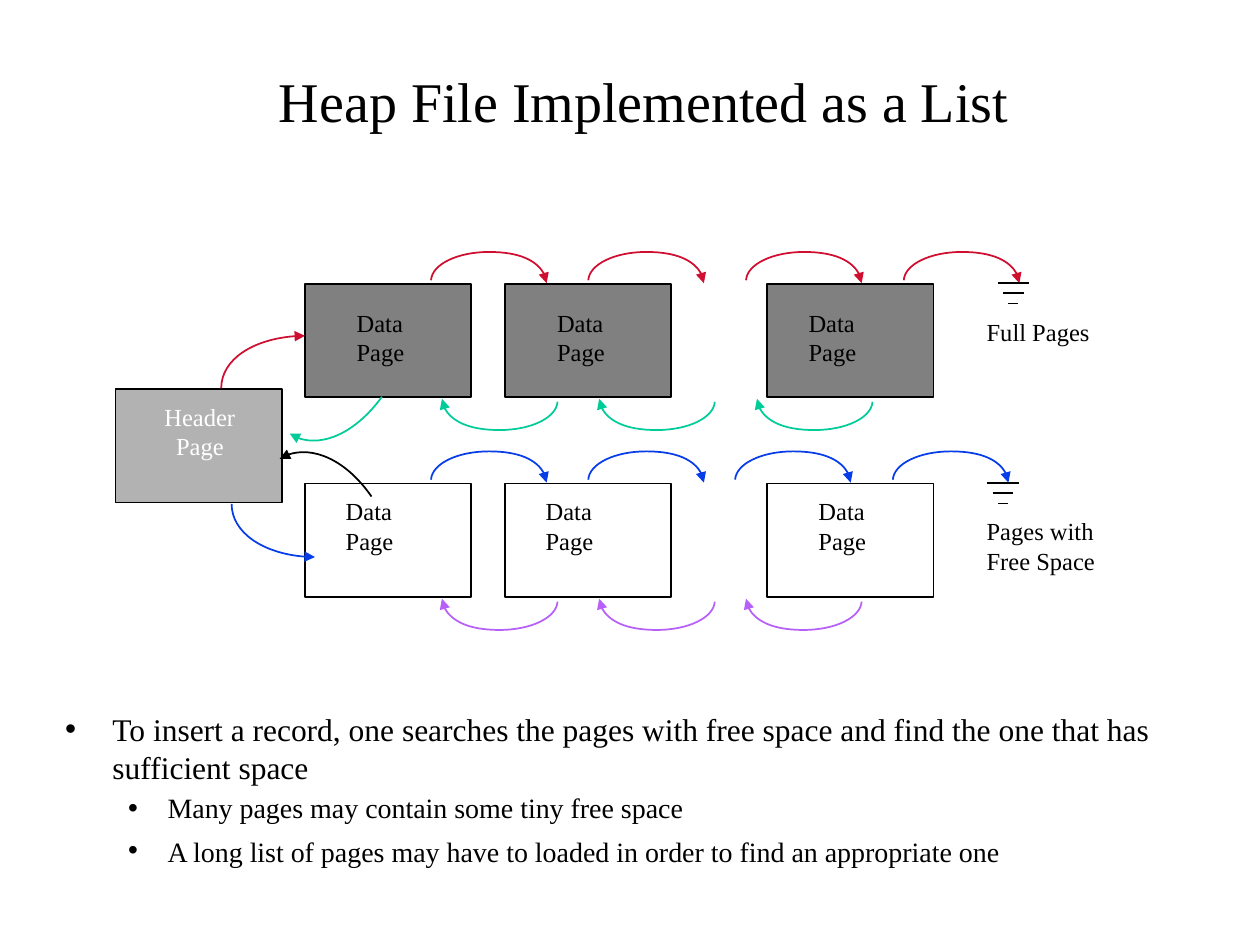
from lxml.etree import SubElement
from pptx import Presentation
from pptx.dml.color import RGBColor
from pptx.enum.shapes import MSO_CONNECTOR, MSO_SHAPE
from pptx.enum.text import MSO_ANCHOR, MSO_AUTO_SIZE, PP_ALIGN
from pptx.oxml.ns import qn
from pptx.util import Cm, Pt

FONT = "Times New Roman"
BLACK, WHITE = "000000", "FFFFFF"
RED, GREEN, BLUE, PURPLE = "CF0E30", "00CC99", "063DE8", "B760F9"
WIDE, HIGH = 2.33, 0.63
HUMP = [(0, 0.57), (0.02, 0.25), (0.53, 0), (1.17, 0),
        (1.8, 0), (2.33, 0.27), (2.33, 0.63)]


def tint(code):
    """Turn a hex string into a colour."""
    return RGBColor.from_string(code)


def place(shape, left, top, width, height):
    """Move and size a shape in centimetres."""
    shape.left, shape.top = Cm(left), Cm(top)
    shape.width, shape.height = Cm(width), Cm(height)


def write(para, text, size, color=BLACK):
    """Add one formatted run to a paragraph."""
    run = para.add_run()
    run.text = text
    run.font.name = FONT
    run.font.size = Pt(size)
    run.font.color.rgb = tint(color)


def stroke(shape, color):
    """Give a shape or connector a plain thin line."""
    shape.line.color.rgb = tint(color)
    shape.line.width = Pt(1)


def add_title(slide, text):
    """Fill the title placeholder."""
    title = slide.shapes.title
    place(title, 2.33, 1.27, 21.59, 1.48)
    frame = title.text_frame
    frame.auto_size = MSO_AUTO_SIZE.NONE
    frame.vertical_anchor = MSO_ANCHOR.MIDDLE
    para = frame.paragraphs[0]
    para.alignment = PP_ALIGN.CENTER
    write(para, text, 32)


def add_list(slide, items):
    """Fill the body placeholder with levelled bullets."""
    body = slide.placeholders[1]
    place(body, 1.06, 14.18, 23.6, 3.6)
    frame = body.text_frame
    frame.auto_size = MSO_AUTO_SIZE.NONE
    for pos, (level, runs) in enumerate(items):
        para = frame.add_paragraph() if pos else frame.paragraphs[0]
        para.level = level
        SubElement(para._p.get_or_add_pPr(), qn("a:buChar"), char="•")
        for text, size in runs:
            write(para, text, size)


def add_box(slide, left, top, fill=None):
    """Draw one page box."""
    box = slide.shapes.add_shape(
        MSO_SHAPE.RECTANGLE, Cm(left), Cm(top), Cm(3.35), Cm(2.29))
    box.shadow.inherit = False
    if fill:
        box.fill.solid()
        box.fill.fore_color.rgb = tint(fill)
    else:
        box.fill.background()
    stroke(box, BLACK)


def add_label(slide, left, top, width, lines, color=BLACK, align=PP_ALIGN.LEFT):
    """Add a text box with one paragraph for each line."""
    height = 0.25 + 0.59 * len(lines)
    box = slide.shapes.add_textbox(Cm(left), Cm(top), Cm(width), Cm(height))
    frame = box.text_frame
    frame.word_wrap = False
    frame.auto_size = MSO_AUTO_SIZE.SHAPE_TO_FIT_TEXT
    for pos, text in enumerate(lines):
        para = frame.add_paragraph() if pos else frame.paragraphs[0]
        para.alignment = align
        write(para, text, 14, color)


def add_curve(slide, points, color):
    """Draw a Bezier arrow from a start and triples of points."""
    spots = [(Cm(x), Cm(y)) for x, y in points]
    build = slide.shapes.build_freeform(*spots[0])
    build.add_line_segments(spots[3::3], close=False)
    curve = build.convert_to_shape()
    curve.shadow.inherit = False
    curve.fill.background()
    stroke(curve, color)
    SubElement(curve.line._get_or_add_ln(), qn("a:tailEnd"), type="triangle")
    track = curve._element.find(".//" + qn("a:path"))
    for part in track.findall(qn("a:lnTo")):
        track.remove(part)
    for pos in range(1, len(spots), 3):
        bend = SubElement(track, qn("a:cubicBezTo"))
        for x, y in spots[pos:pos + 3]:
            SubElement(bend, qn("a:pt"),
                       x=str(x - curve.left), y=str(y - curve.top))


def add_hump(slide, left, top, color, back=False):
    """Draw a list link, turned half round when it points back."""
    turn = [(WIDE - x, HIGH - y) for x, y in HUMP] if back else HUMP
    add_curve(slide, [(left + x, top + y) for x, y in turn], color)


def add_ground(slide, left, top):
    """Draw the grouped end mark of a list."""
    group = slide.shapes.add_group_shape()
    for step in range(3):
        inset, y = 0.11 * step, Cm(top + 0.21 * step)
        line = group.shapes.add_connector(
            MSO_CONNECTOR.STRAIGHT, Cm(left + inset), y,
            Cm(left + 0.64 - inset), y)
        stroke(line, BLACK)
        SubElement(line._element.spPr, qn("a:effectLst"))


def main():
    """Build the slide and save it."""
    deck = Presentation()
    deck.slide_width, deck.slide_height = Cm(25.4), Cm(19.05)
    slide = deck.slides.add_slide(deck.slide_layouts[1])
    add_title(slide, "Heap File Implemented as a List ")
    add_list(slide, [
        (0, [("To insert a record, one searches the pages with free space "
              "and find the one that has sufficient space", 18)]),
        (1, [("Many pages may contain some tiny free space", 16)]),
        (1, [("A long list of pages may have to loaded in order to find "
              "an appropriate one", 16), (" ", 18)]),
    ])

    rows = [(5.72, "808080", 6.08, (6.94, 10.98, 16.05)),
            (9.75, None, 9.88, (6.72, 10.75, 16.25))]
    for top, fill, high, lefts in rows:
        for left, side in zip((6.15, 10.18, 15.47), lefts):
            add_box(slide, left, top, fill)
            add_label(slide, side, high, 1.47, ["Data", "Page"])
    add_box(slide, 2.33, 7.84, "B2B2B2")
    add_label(slide, 3.05, 7.98, 1.96, ["Header", "Page"],
              WHITE, PP_ALIGN.CENTER)

    links = [(5.08, RED, False, (8.69, 11.86, 15.04, 18.22)),
             (8.04, GREEN, True, (8.91, 12.08, 15.26)),
             (9.1, BLUE, False, (8.69, 11.86, 14.82, 18)),
             (12.07, PURPLE, True, (8.91, 12.08, 15.04))]
    for top, color, back, lefts in links:
        for left in lefts:
            add_hump(slide, left, top, color, back)

    joins = [(RED, [(4.46, 7.83), (4.46, 7.24), (5.21, 6.77), (6.15, 6.77)]),
             (GREEN, [(7.7, 8), (7.16, 8.74), (6.32, 9.09), (5.84, 8.74)]),
             (BLACK, [(7.49, 10.01), (6.96, 9.25), (6.12, 8.92), (5.64, 9.25)]),
             (BLUE, [(4.67, 10.16), (4.67, 10.74), (5.41, 11.23), (6.35, 11.23)])]
    for color, points in joins:
        add_curve(slide, points, color)

    add_label(slide, 19.64, 6.27, 2.59, ["Full Pages"])
    add_label(slide, 19.64, 10.28, 2.72, ["Pages with", "Free Space"])
    add_ground(slide, 20.11, 5.7)
    add_ground(slide, 19.9, 9.73)
    deck.save("out.pptx")


if __name__ == "__main__":
    main()
